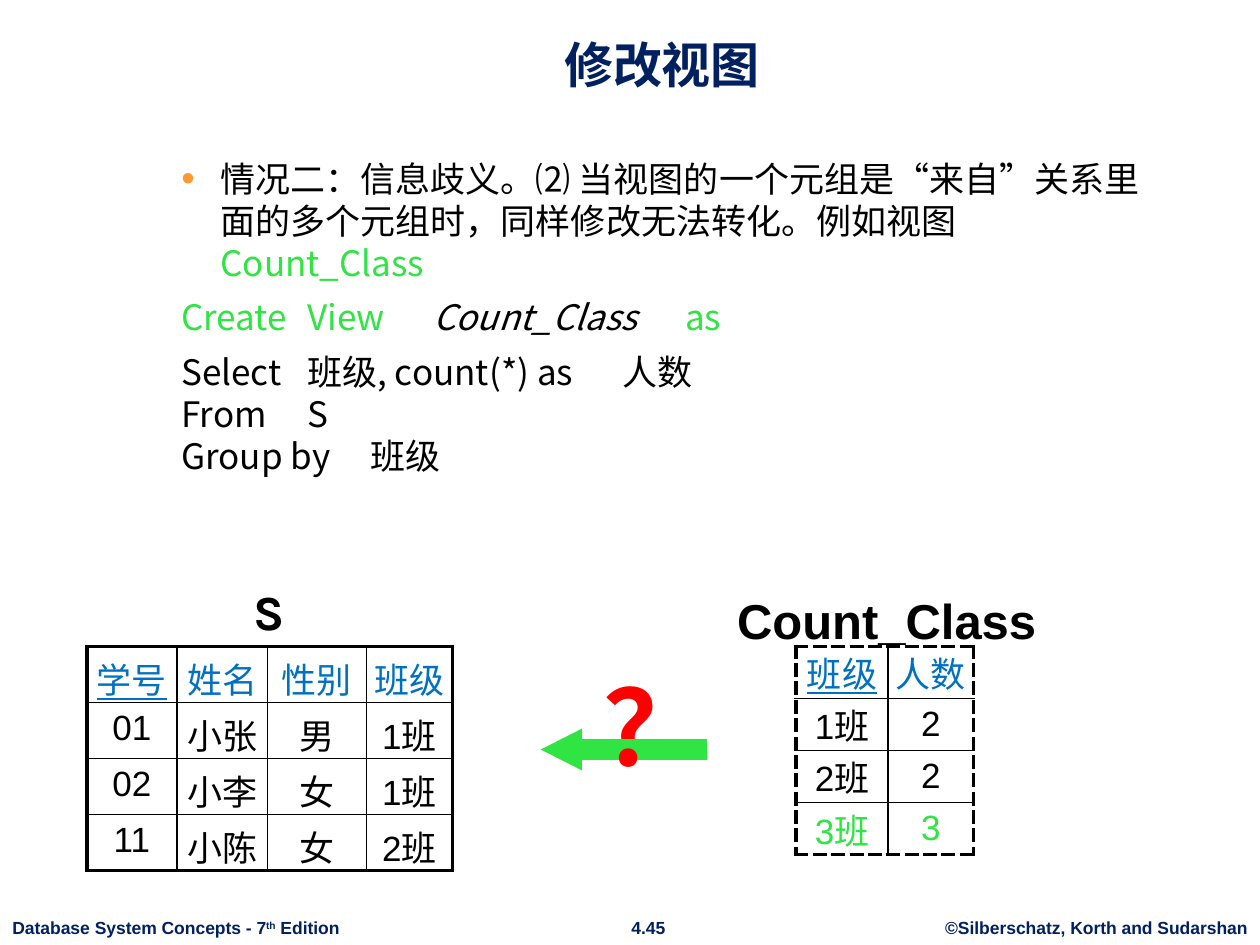
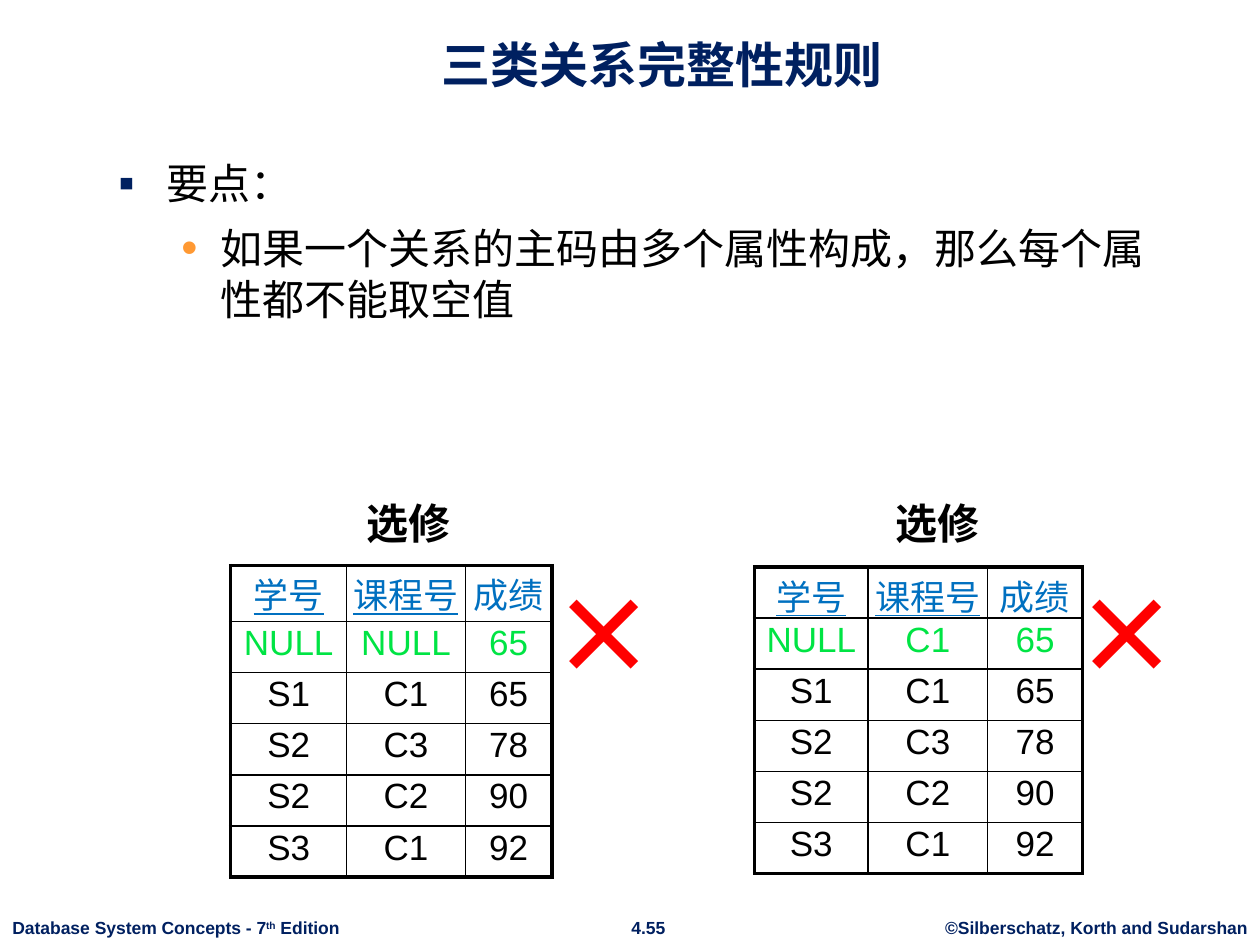
from dataclasses import dataclass
from typing import Optional

from lxml.etree import SubElement
from pptx import Presentation
from pptx.dml.color import RGBColor
from pptx.enum.shapes import MSO_SHAPE
from pptx.enum.text import MSO_ANCHOR, MSO_AUTO_SIZE, PP_ALIGN
from pptx.oxml import parse_xml
from pptx.oxml.ns import nsdecls, qn
from pptx.util import Cm, Pt

# Shared colours and fonts
NAVY, BLUE, ORANGE = "002060", "0070C0", "FF9933"
GREEN, BRIGHT_GREEN, RED = "30E444", "00E444", "FF0000"
BLACK, WHITE = "000000", "FFFFFF"
LATIN, CHINESE, LABEL = "Arial", "Noto Sans CJK SC", "Karla"


@dataclass(frozen=True)
class Style:
    size: float
    color: str = BLACK
    font: str = LATIN
    bold: bool = False
    underline: bool = False


@dataclass(frozen=True)
class Piece:
    text: str
    color: Optional[str] = None
    italic: bool = False
    superscript: bool = False


@dataclass(frozen=True)
class Bullet:
    symbol: str
    color: str
    left: float
    hanging: float


@dataclass(frozen=True)
class Item:
    pieces: tuple[Piece, ...]
    bullet: Optional[Bullet] = None
    tabs: tuple[float, ...] = ()
    space_before: float = 0


@dataclass(frozen=True)
class Label:
    pieces: tuple[Piece, ...]
    left: float
    top: float
    width: float
    height: float
    style: Style
    align: PP_ALIGN = PP_ALIGN.LEFT
    inset: float = 0.25
    wrap: bool = True


@dataclass(frozen=True)
class Relation:
    left: float
    top: float
    columns: tuple[float, ...]
    row_heights: tuple[float, ...]
    rows: tuple[tuple[str, ...], ...]
    keys: int
    marked_row: Optional[int] = None
    marked_color: str = BRIGHT_GREEN
    dash: str = "solid"
    inset: tuple[float, float] = (0, 0.05)
    anchor: MSO_ANCHOR = MSO_ANCHOR.TOP


SQUARE = Bullet("▪", NAVY, 0.97, 0.97)
DOT = Bullet("•", ORANGE, 2.06, 0.79)
TITLE = Style(28, NAVY, bold=True)
FOOTER = Style(10, NAVY, bold=True)
CAPTION = Style(24, font=LABEL, bold=True)
MARK = Style(60, RED, CHINESE, bold=True)


def rgb(color: str) -> RGBColor:
    return RGBColor.from_string(color)


def apply_style(paragraph, style: Style) -> None:
    font = paragraph.font
    font.size, font.name, font.bold = Pt(style.size), style.font, style.bold
    font.underline = style.underline
    font.color.rgb = rgb(style.color)
    if style.font == CHINESE:
        defaults = paragraph._p.pPr.find(qn("a:defRPr"))
        SubElement(defaults, qn("a:ea"), typeface=CHINESE)


def write(paragraph, pieces: tuple[Piece, ...], style: Style) -> None:
    apply_style(paragraph, style)
    for piece in pieces:
        run = paragraph.add_run()
        run.text = piece.text
        if style.font == CHINESE:
            SubElement(run._r.get_or_add_rPr(), qn("a:ea"), typeface=CHINESE)
        if piece.color:
            run.font.color.rgb = rgb(piece.color)
        if piece.italic:
            run.font.italic = True
        if piece.superscript:
            run._r.get_or_add_rPr().set("baseline", "30000")


def place(shape, left: float, top: float, width: float, height: float) -> None:
    shape.left, shape.top = Cm(left), Cm(top)
    shape.width, shape.height = Cm(width), Cm(height)


def add_label(slide, label: Label) -> None:
    shape = slide.shapes.add_textbox(
        Cm(label.left), Cm(label.top), Cm(label.width), Cm(label.height))
    frame = shape.text_frame
    frame.word_wrap = label.wrap
    frame.margin_left = frame.margin_right = Cm(label.inset)
    paragraph = frame.paragraphs[0]
    paragraph.alignment = label.align
    write(paragraph, label.pieces, label.style)


def format_item(paragraph, item: Item) -> None:
    paragraph.space_before = Pt(item.space_before)
    properties = paragraph._p.get_or_add_pPr()
    bullet = item.bullet
    properties.set("marL", str(Cm(bullet.left) if bullet else 0))
    properties.set("indent", str(-Cm(bullet.hanging) if bullet else 0))
    if bullet:
        color = SubElement(properties, qn("a:buClr"))
        SubElement(color, qn("a:srgbClr"), val=bullet.color)
        SubElement(properties, qn("a:buSzPct"), val="110000")
        SubElement(properties, qn("a:buFont"), typeface=LATIN)
        SubElement(properties, qn("a:buChar"), char=bullet.symbol)
    else:
        SubElement(properties, qn("a:buNone"))
    if item.tabs:
        stops = SubElement(properties, qn("a:tabLst"))
        for position in item.tabs:
            SubElement(stops, qn("a:tab"), pos=str(Cm(position)), algn="l")


def add_slide(presentation, title: str, items: tuple[Item, ...], size: float, number: str):
    slide = presentation.slides.add_slide(presentation.slide_layouts[1])
    # Title
    heading, body = slide.placeholders
    place(heading, 2.13, 0.3, 22.43, 1.7)
    heading.text_frame.vertical_anchor = MSO_ANCHOR.BOTTOM
    heading.text_frame.auto_size = MSO_AUTO_SIZE.NONE
    paragraph = heading.text_frame.paragraphs[0]
    paragraph.alignment = PP_ALIGN.CENTER
    write(paragraph, (Piece(title),), TITLE)
    # Body list
    place(body, 2.13, 3.05, 21.41, 13.61)
    frame = body.text_frame
    frame.auto_size = MSO_AUTO_SIZE.NONE
    for index, item in enumerate(items):
        paragraph = frame.add_paragraph() if index else frame.paragraphs[0]
        format_item(paragraph, item)
        write(paragraph, item.pieces, Style(size, font=CHINESE))
    # Footer
    edition = (Piece("Database System Concepts - 7"),
               Piece("th", superscript=True), Piece(" Edition"))
    credit = (Piece("©Silberschatz, Korth and Sudarshan"),)
    for pieces, left, width, align in (
            (edition, 0, 7.14, PP_ALIGN.LEFT),
            ((Piece(number),), 12.45, 1.24, PP_ALIGN.CENTER),
            (credit, 18.8, 6.6, PP_ALIGN.CENTER)):
        add_label(slide, Label(pieces, left, 18.37, width, 0.69, FOOTER, align, wrap=False))
    return slide


def set_borders(cell, outer: dict[str, bool], dash: str) -> None:
    properties = cell._tc.get_or_add_tcPr()
    for index, (side, is_outer) in enumerate(outer.items()):
        width, pattern = (Pt(2.25), dash) if is_outer else (Pt(1), "solid")
        properties.insert(index, parse_xml(
            f'<a:ln{side} {nsdecls("a")} w="{width}"><a:solidFill>'
            f'<a:srgbClr val="{BLACK}"/></a:solidFill>'
            f'<a:prstDash val="{pattern}"/></a:ln{side}>'))


def add_relation(slide, relation: Relation) -> None:
    rows, columns = len(relation.rows), len(relation.columns)
    table = slide.shapes.add_table(
        rows, columns, Cm(relation.left), Cm(relation.top),
        Cm(sum(relation.columns)), Cm(sum(relation.row_heights))).table
    table.first_row = table.horz_banding = False
    for column, width in zip(table.columns, relation.columns):
        column.width = Cm(width)
    for row, height in zip(table.rows, relation.row_heights):
        row.height = Cm(height)
    for r, values in enumerate(relation.rows):
        for c, value in enumerate(values):
            cell = table.cell(r, c)
            cell.fill.solid()
            cell.fill.fore_color.rgb = rgb(WHITE)
            cell.vertical_anchor = relation.anchor
            cell.margin_left = cell.margin_right = Cm(relation.inset[0])
            cell.margin_top = cell.margin_bottom = Cm(relation.inset[1])
            color = BLUE if r == 0 else BLACK
            if r == relation.marked_row:
                color = relation.marked_color
            paragraph = cell.text_frame.paragraphs[0]
            paragraph.alignment = PP_ALIGN.CENTER
            is_key = r == 0 and c < relation.keys
            write(paragraph, (Piece(value),), Style(20, color, underline=is_key))
            set_borders(cell, {"L": c == 0, "R": c == columns - 1,
                               "T": r == 0, "B": r == rows - 1}, relation.dash)


def build_view_slide(presentation) -> None:
    # Tab stops: start of the code, then its columns
    create_tabs = (7.14, 9.6, 11.69, 16.39)
    clause_tabs = (7.14, 10.62, 16.49)
    items = (
        Item((Piece("情况二：信息歧义。⑵ 当视图的一个元组是“来自”关系里面的多个元组时，"
                    "同样修改无法转化。例如视图"), Piece("Count_Class", GREEN)), DOT),
        Item((Piece("\tCreate\tView\t", GREEN), Piece("Count_Class", italic=True),
              Piece("\tas", GREEN)), tabs=create_tabs, space_before=7),
        Item((Piece("\tSelect\t班级, count(*) as\t人数"),), tabs=clause_tabs, space_before=7),
        Item((Piece("\tFrom\tS"),), tabs=clause_tabs),
        Item((Piece("\tGroup by\t班级"),), tabs=clause_tabs),
    )
    slide = add_slide(presentation, "修改视图", items, 20, "4.45")
    # View and its base relation
    add_relation(slide, Relation(
        16.05, 13.03, (1.85, 1.73), (1.05,) * 4,
        (("班级", "人数"), ("1班", "2"), ("2班", "2"), ("3班", "3")),
        keys=1, marked_row=3, marked_color=GREEN, dash="lgDash",
        inset=(0.05, 0), anchor=MSO_ANCHOR.MIDDLE))
    add_label(slide, Label((Piece("Count_Class"),), 14.86, 11.77, 8.08, 1.4,
                           Style(28, bold=True), inset=0))
    # Doubtful update from the view to the relation
    arrow = slide.shapes.add_shape(
        MSO_SHAPE.LEFT_ARROW, Cm(10.9), Cm(14.69), Cm(3.35), Cm(0.84))
    arrow.adjustments[1] = 0.99
    arrow.shadow.inherit = False
    arrow.fill.solid()
    arrow.fill.fore_color.rgb = rgb(GREEN)
    arrow.line.fill.background()
    add_label(slide, Label((Piece("？"),), 12.17, 13.21, 2.2, 2.79, MARK, inset=0))
    add_relation(slide, Relation(
        1.75, 13.03, (1.82, 1.82, 2, 1.73), (1.13,) * 4,
        (("学号", "姓名", "性别", "班级"), ("01", "小张", "男", "1班"),
         ("02", "小李", "女", "1班"), ("11", "小陈", "女", "2班")),
        keys=1, inset=(0, 0.13)))
    add_label(slide, Label((Piece("S"),), 3.63, 11.59, 3.61, 1.45,
                           Style(28, font=LABEL, bold=True), PP_ALIGN.CENTER))


def build_integrity_slide(presentation) -> None:
    items = (Item((Piece("要点："),), SQUARE),
             Item((Piece("如果一个关系的主码由多个属性构成，那么每个属性都不能取空值"),),
                  DOT, space_before=8.4))
    slide = add_slide(presentation, "三类关系完整性规则", items, 24, "4.55")
    # Two enrolment relations that break the rule
    header = ("学号", "课程号", "成绩")
    valid_rows = (("S1", "C1", "65"), ("S2", "C3", "78"),
                  ("S2", "C2", "90"), ("S3", "C1", "92"))
    for left, top, columns, header_height, course, caption_left, cross_left in (
            (4.65, 11.4, (2.34, 2.39, 1.75), 1.13, "NULL", 7.14, 11.12),
            (15.21, 11.43, (2.29, 2.41, 1.91), 1.03, "C1", 17.81, 21.67)):
        add_relation(slide, Relation(
            left, top, columns, (header_height,) + (1.03,) * 5,
            (header, ("NULL", course, "65")) + valid_rows, keys=2, marked_row=1))
        add_label(slide, Label((Piece("选修"),), caption_left, 9.9, 2.34, 1.27, CAPTION))
        add_label(slide, Label((Piece("×"),), cross_left, 11.35, 3.1, 2.79, MARK, inset=0))


def main() -> None:
    presentation = Presentation()
    presentation.slide_width, presentation.slide_height = Cm(25.4), Cm(19.05)
    build_view_slide(presentation)
    build_integrity_slide(presentation)
    presentation.save("out.pptx")


if __name__ == "__main__":
    main()
